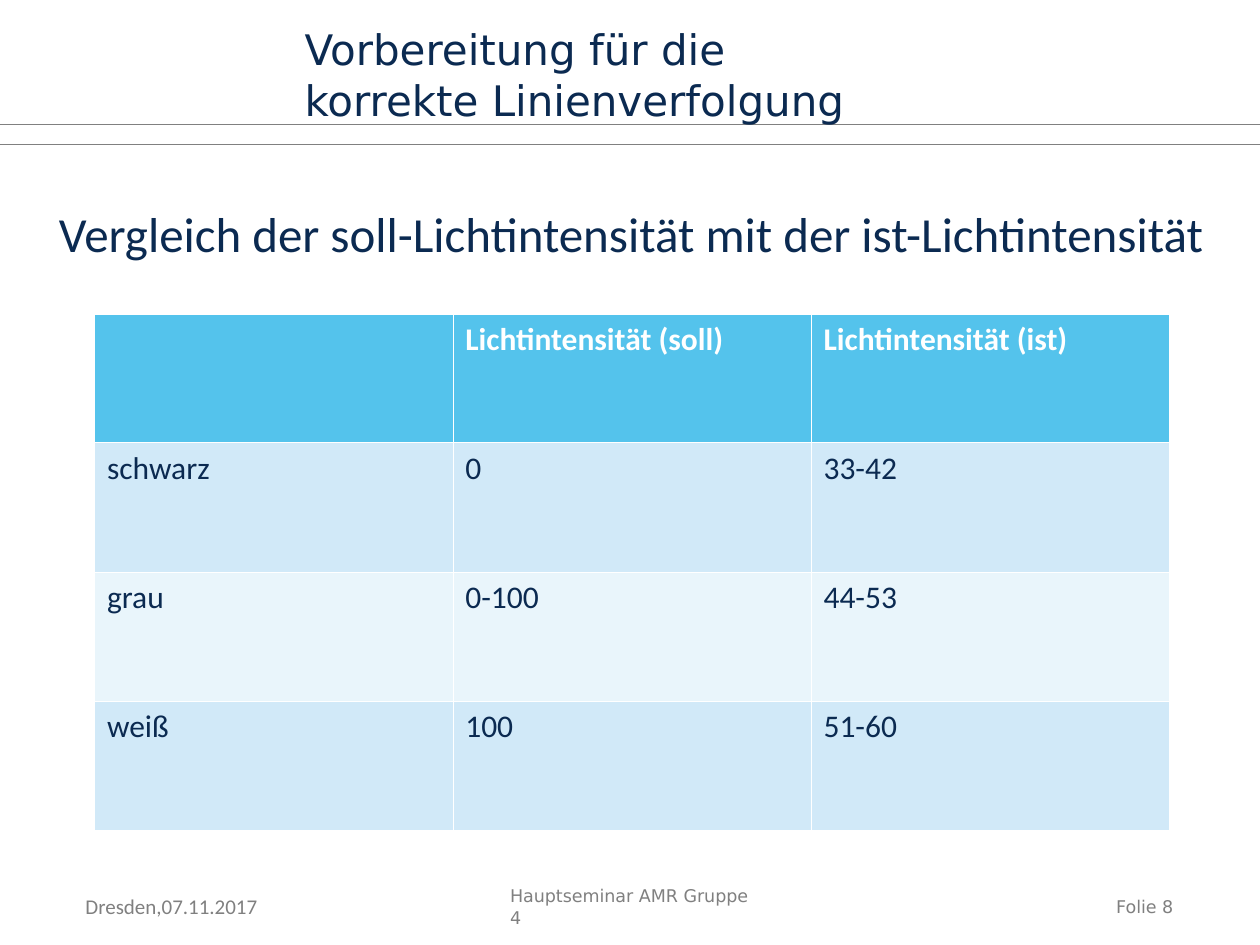
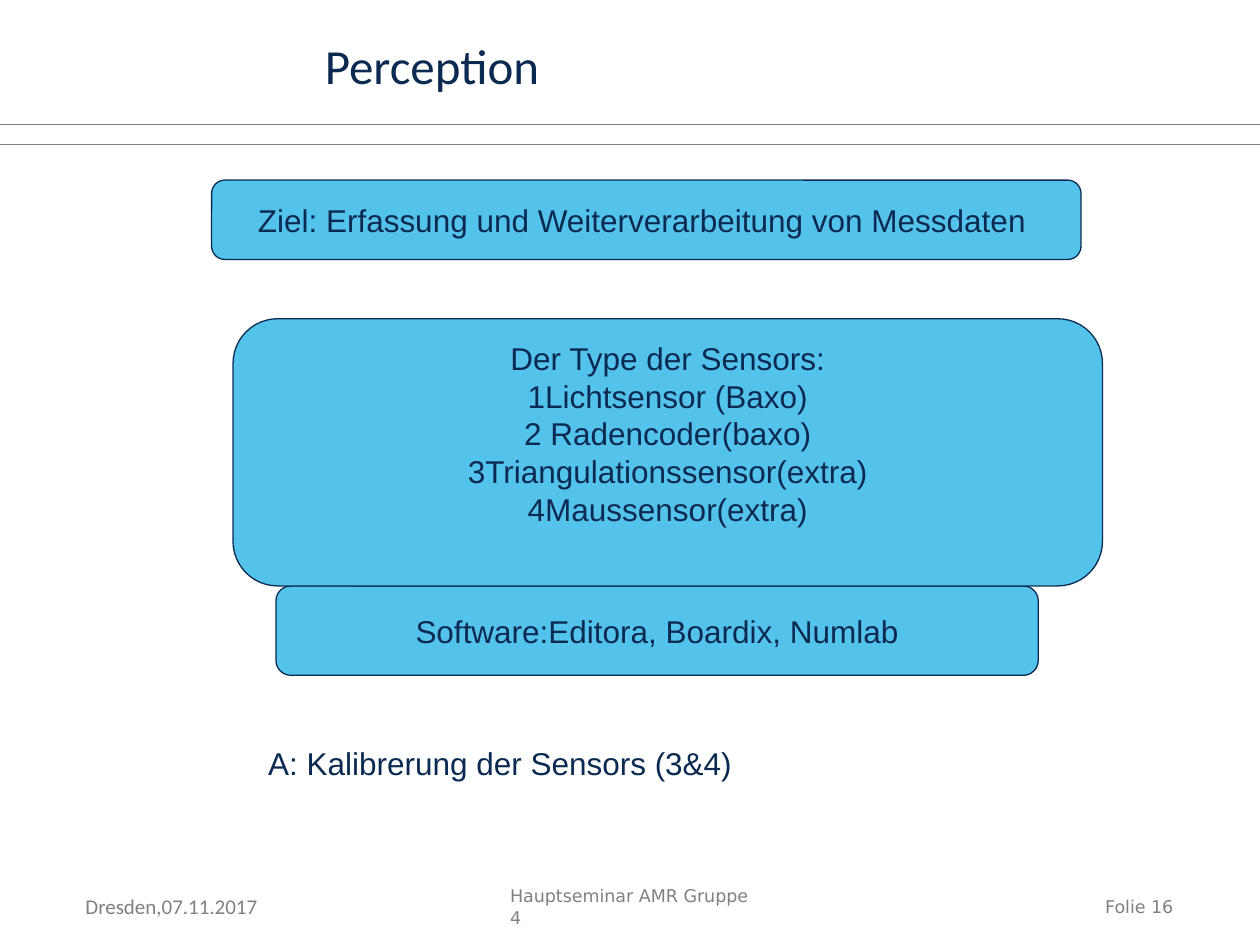
from dataclasses import dataclass

from lxml.etree import SubElement
from pptx import Presentation
from pptx.dml.color import RGBColor
from pptx.enum.shapes import MSO_CONNECTOR, MSO_SHAPE
from pptx.enum.text import MSO_ANCHOR, PP_ALIGN
from pptx.oxml.ns import qn
from pptx.util import Inches, Pt


@dataclass(frozen=True)
class Theme:
    navy: str = "0B2A51"
    sky: str = "54C3EC"
    grey: str = "808080"
    white: str = "FFFFFF"
    bands: tuple = ("D1E9F8", "E9F5FB")
    serif_free: str = "DejaVu Sans"
    humanist: str = "Calibri"
    grotesque: str = "Arial"
    heading: int = 28
    title: int = 24
    body: int = 18
    date: int = 12
    footer: int = 10


THEME = Theme()
WIDTH, HEIGHT = 10, 7.5

# Content; every box is left, top, width, height in inches
RULE_HEIGHTS = (0.99, 1.15)
DATE = ("Dresden,07.11.2017", (0.58, 7.04, 1.57, 0.3))
SEMINAR = ("Hauptseminar AMR Gruppe 4", (3.95, 7.06, 2.11, 0.27))
FOLIO_BOX = (7.52, 7.06, 1.89, 0.29)

TRACKING_TITLE = ("Vorbereitung für die korrekte Linienverfolgung", (2.32, 0.52, 4.96, 0.53))
COMPARISON = ("Vergleich der soll-Lichtintensität mit der ist-Lichtintensität",
              (0.37, 1.57, 9.36, 0.57))
INTENSITIES = [
    ("", "Lichtintensität (soll)", "Lichtintensität (ist)"),
    ("schwarz", "0", "33-42"),
    ("grau", "0-100", "44-53"),
    ("weiß", "100", "51-60"),
]
INTENSITY_BOX = (0.75, 2.49, 8.53, 4.1)

PERCEPTION_TITLE = ("Perception", (2.48, 0.23, 6.57, 0.57))
CALIBRATION = ("A: Kalibrerung der Sensors (3&4)", (2.03, 5.86, 5.77, 0.4))
SENSORS = "\n".join([
    "Der Type der Sensors:",
    "1Lichtsensor (Baxo)",
    "2 Radencoder(baxo)",
    "3Triangulationssensor(extra)",
    "4Maussensor(extra)",
])
# text, box, free space kept below the text
PANELS = [
    ("Ziel: Erfassung und Weiterverarbeitung von Messdaten ", (1.68, 1.43, 6.9, 0.63), 0),
    ("Software:Editora, Boardix, Numlab", (2.19, 4.65, 6.05, 0.71), 0),
    (SENSORS, (1.85, 2.53, 6.9, 2.12), 0.3),
]


def rgb(value):
    return RGBColor.from_string(value)


def inches(box):
    return [Inches(length) for length in box]


def write(frame, text, size, font, color, align=PP_ALIGN.LEFT, bold=False):
    frame.text = text
    for paragraph in frame.paragraphs:
        paragraph.alignment = align
        for run in paragraph.runs:
            run.font.size = Pt(size)
            run.font.name = font
            run.font.bold = bold
            run.font.color.rgb = rgb(color)


def add_text(slide, content, size, font, color=THEME.navy, align=PP_ALIGN.LEFT,
             anchor=MSO_ANCHOR.TOP, wrap=True, space_below=0):
    text, box = content
    frame = slide.shapes.add_textbox(*inches(box)).text_frame
    frame.word_wrap = wrap
    frame.vertical_anchor = anchor
    frame.margin_bottom = Inches(0.05 + space_below)
    write(frame, text, size, font, color, align)


def add_rule(slide, top):
    rule = slide.shapes.add_connector(
        MSO_CONNECTOR.STRAIGHT, *inches((0, top, WIDTH, top)))
    rule.line.color.rgb = rgb(THEME.grey)
    rule.line.width = Pt(0.5)
    SubElement(rule._element.spPr, qn("a:effectLst"))


def add_panel(slide, text, box, space_below):
    panel = slide.shapes.add_shape(MSO_SHAPE.ROUNDED_RECTANGLE, *inches(box))
    panel.shadow.inherit = False
    panel.fill.solid()
    panel.fill.fore_color.rgb = rgb(THEME.sky)
    panel.line.color.rgb = rgb(THEME.navy)
    panel.line.width = Pt(0.75)
    frame = panel.text_frame
    frame.word_wrap = False
    frame.vertical_anchor = MSO_ANCHOR.MIDDLE
    frame.margin_bottom = Inches(0.05 + space_below)
    write(frame, text, THEME.body, THEME.grotesque, THEME.navy, PP_ALIGN.CENTER)


def add_borders(cell, widths):
    """Put white borders before the cell's fill, as the schema orders them."""
    properties = cell._tc.get_or_add_tcPr()
    for place, (side, width) in enumerate(widths.items()):
        border = SubElement(properties, qn(f"a:ln{side}"), w=str(Pt(width)))
        fill = SubElement(border, qn("a:solidFill"))
        SubElement(fill, qn("a:srgbClr"), val=THEME.white)
        properties.insert(place, border)


def add_intensity_table(slide):
    rows, columns = len(INTENSITIES), len(INTENSITIES[0])
    table = slide.shapes.add_table(rows, columns, *inches(INTENSITY_BOX)).table
    table.horz_banding = False
    for r, values in enumerate(INTENSITIES):
        header = r == 0
        fill = THEME.sky if header else THEME.bands[(r - 1) % 2]
        widths = {"L": 0.23, "R": 0.23, "T": 0.75 if r == 1 else 0.23,
                  "B": 0.75 if header else 0.23}
        for c, value in enumerate(values):
            cell = table.cell(r, c)
            cell.fill.solid()
            cell.fill.fore_color.rgb = rgb(fill)
            add_borders(cell, widths)
            write(cell.text_frame, value, THEME.body, THEME.humanist,
                  THEME.white if header else THEME.navy, bold=header)
            cell.text_frame.paragraphs[0].line_spacing = 0.98


def add_slide(deck, number):
    """Add a blank slide with the shared rules and footer."""
    slide = deck.slides.add_slide(deck.slide_layouts[6])
    for top in RULE_HEIGHTS:
        add_rule(slide, top)
    add_text(slide, (f"Folie {number}", FOLIO_BOX), THEME.footer, THEME.serif_free,
             THEME.grey, PP_ALIGN.RIGHT)
    add_text(slide, SEMINAR, THEME.footer, THEME.serif_free, THEME.grey,
             anchor=MSO_ANCHOR.MIDDLE)
    add_text(slide, DATE, THEME.date, THEME.humanist, THEME.grey, wrap=False)
    return slide


def main():
    deck = Presentation()
    deck.slide_width, deck.slide_height = Inches(WIDTH), Inches(HEIGHT)

    tracking = add_slide(deck, 8)
    add_text(tracking, TRACKING_TITLE, THEME.title, THEME.serif_free,
             anchor=MSO_ANCHOR.MIDDLE, space_below=0.39)
    add_intensity_table(tracking)
    add_text(tracking, COMPARISON, THEME.heading, THEME.humanist, wrap=False)

    perception = add_slide(deck, 16)
    for text, box, space_below in PANELS:
        add_panel(perception, text, box, space_below)
    add_text(perception, PERCEPTION_TITLE, THEME.heading, THEME.humanist)
    add_text(perception, CALIBRATION, THEME.body, THEME.grotesque)

    deck.save("out.pptx")


if __name__ == "__main__":
    main()
